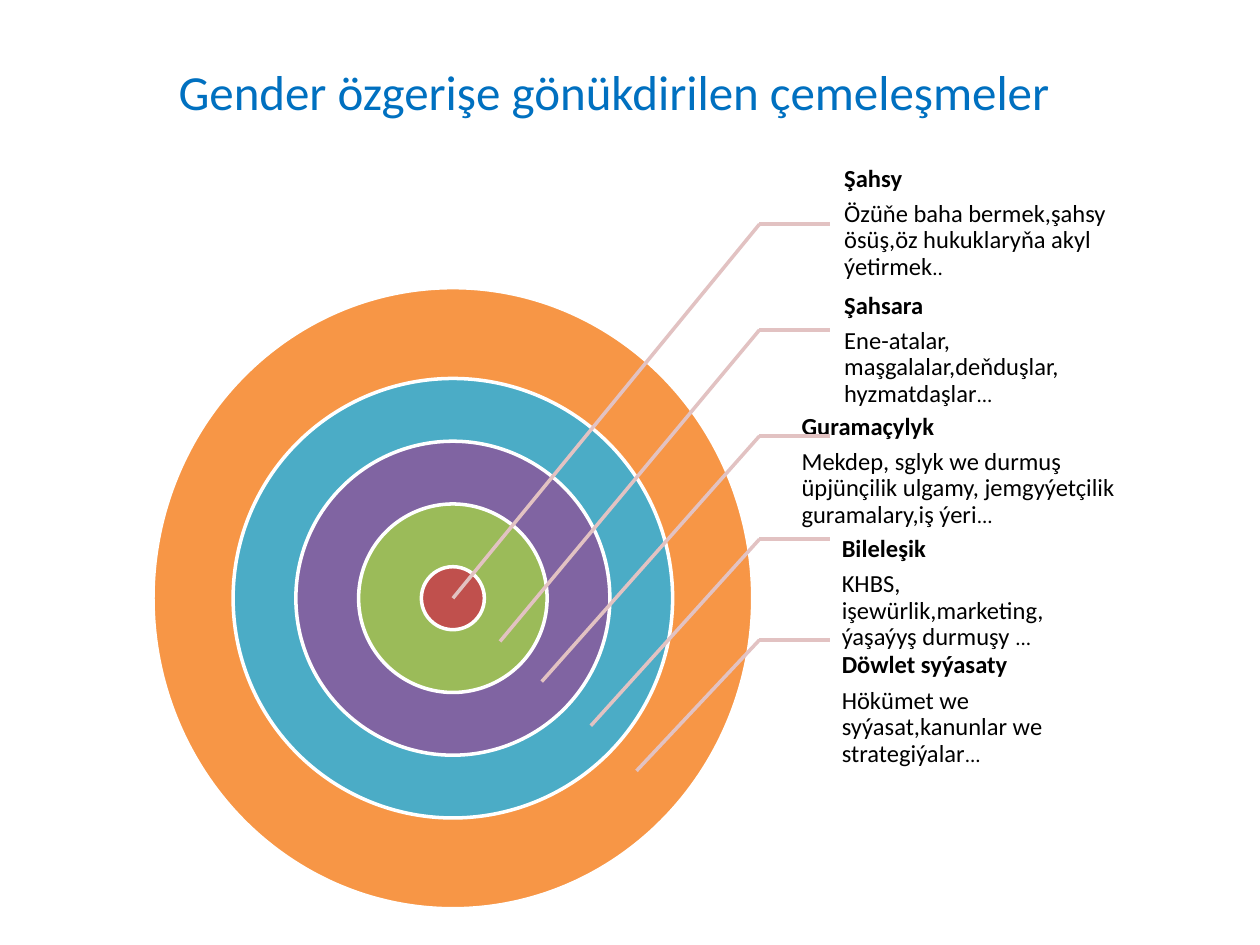
import pptx
import pptx.util
import pptx.dml.color
import pptx.enum.shapes
import pptx.enum.text
import pptx.oxml.ns
import lxml.etree

Cm, Pt = pptx.util.Cm, pptx.util.Pt
MSO_SHAPE = pptx.enum.shapes.MSO_SHAPE
ANCHOR = pptx.enum.text.MSO_ANCHOR
ALIGN = pptx.enum.text.PP_ALIGN

THEME = {
    "font": "Calibri",
    "title": "0070C0", "text": "000000", "outline": "FFFFFF", "leader": "E2C2C2",
    "title_size": 28, "text_size": 14, "dots_size": 12, "line_width": 2,
}

TITLE = "Gender özgerişe gönükdirilen çemeleşmeler"

# From the innermost level outwards: box is left, top, width of the label;
# leader is the height of its bend, target is where it ends inside the ring (cm).
LEVELS = [
    {"name": "Şahsy", "dots": "..",
     "detail": "Özüňe baha bermek,şahsy ösüş,öz hukuklaryňa akyl ýetirmek",
     "color": "C0504D", "box": (16.74, 3.3, 5.69), "leader": 4.52, "target": (9.13, 12.06)},
    {"name": "Şahsara", "dots": "...",
     "detail": "Ene-atalar, maşgalalar,deňduşlar, hyzmatdaşlar",
     "color": "9BBB59", "box": (16.74, 5.86, 5.69), "leader": 6.65, "target": (10.08, 12.93)},
    {"name": "Guramaçylyk", "dots": "...",
     "detail": "Mekdep, sglyk we durmuş üpjünçilik ulgamy, jemgyýetçilik guramalary,iş ýeri",
     "color": "8064A2", "box": (15.88, 8.3, 7.42), "leader": 8.79, "target": (10.92, 13.74)},
    {"name": "Bileleşik", "dots": "...",
     "detail": "KHBS, işewürlik,marketing, ýaşaýyş durmuşy ",
     "color": "4BACC6", "box": (16.69, 10.77, 5.69), "leader": 10.87, "target": (11.91, 14.63)},
    {"name": "Döwlet syýasaty", "dots": "...",
     "detail": "Hökümet we syýasat,kanunlar we strategiýalar",
     "color": "F79646", "box": (16.69, 13.11, 5.69), "leader": 12.9, "target": (12.83, 15.54)},
]

CENTER = (9.13, 12.06)
CORE, RING_STEP = 1.27, 2.53
OUTER = (12.09, 12.52)
BEND_X, LEADER_END_X = 15.31, 16.74
LABEL_HEIGHT = 2.4


def rgb(name):
    return pptx.dml.color.RGBColor.from_string(THEME.get(name, name))


def add_text(slide, paragraphs, left, top, width, height, *, color="text", align=ALIGN.LEFT,
             anchor=ANCHOR.TOP, insets=(0.25, 0.13, 0.25, 0.13), line_spacing=1.0, space_after=0):
    """Each paragraph is a list of (text, size, bold) runs."""
    tf = slide.shapes.add_textbox(Cm(left), Cm(top), Cm(width), Cm(height)).text_frame
    tf.word_wrap = True
    tf.vertical_anchor = anchor
    tf.margin_left, tf.margin_top, tf.margin_right, tf.margin_bottom = map(Cm, insets)
    for i, runs in enumerate(paragraphs):
        p = tf.add_paragraph() if i else tf.paragraphs[0]
        p.alignment = align
        p.line_spacing = line_spacing
        p.space_after = Pt(space_after)
        for text, size, bold in runs:
            r = p.add_run()
            r.text = text
            r.font.name = THEME["font"]
            r.font.size = Pt(size)
            r.font.bold = bold
            r.font.color.rgb = rgb(color)


def add_ring(slide, width, height, color):
    x, y = CENTER
    sp = slide.shapes.add_shape(MSO_SHAPE.OVAL, Cm(x - width / 2), Cm(y - height / 2),
                                Cm(width), Cm(height))
    sp.shadow.inherit = False
    sp.fill.solid()
    sp.fill.fore_color.rgb = rgb(color)
    sp.line.color.rgb = rgb("outline")
    sp.line.width = Pt(THEME["line_width"])


def add_line(slide, start, end):
    line = slide.shapes.add_connector(pptx.enum.shapes.MSO_CONNECTOR.STRAIGHT,
                                      *map(Cm, start + end))
    line.line.color.rgb = rgb("leader")
    line.line.width = Pt(THEME["line_width"])
    lxml.etree.SubElement(line._element.spPr, pptx.oxml.ns.qn("a:effectLst"))


def add_label(slide, level):
    left, top, width = level["box"]
    size = THEME["text_size"]
    add_text(slide,
             [[(level["name"], size, True)],
              [(level["detail"], size, False), (level["dots"], THEME["dots_size"], False)]],
             left, top, width, LABEL_HEIGHT, insets=(0.28, 0.05, 0.05, 0.05),
             line_spacing=0.9, space_after=4.9)
    bend = (BEND_X, level["leader"])
    add_line(slide, bend, (LEADER_END_X, level["leader"]))
    add_line(slide, bend, level["target"])


def main():
    prs = pptx.Presentation()
    prs.slide_width, prs.slide_height = Cm(25.4), Cm(19.05)
    slide = prs.slides.add_slide(prs.slide_layouts[6])

    add_text(slide, [[(TITLE, THEME["title_size"], False)]], 1.16, 0.76, 22.43, 2.16,
             color="title", align=ALIGN.CENTER, anchor=ANCHOR.MIDDLE)

    sizes = [(CORE + i * RING_STEP,) * 2 for i in range(len(LEVELS) - 1)] + [OUTER]
    for level, (width, height) in reversed(list(zip(LEVELS, sizes))):
        add_ring(slide, width, height, level["color"])
    for level in LEVELS:
        add_label(slide, level)

    prs.save("out.pptx")


if __name__ == "__main__":
    main()
